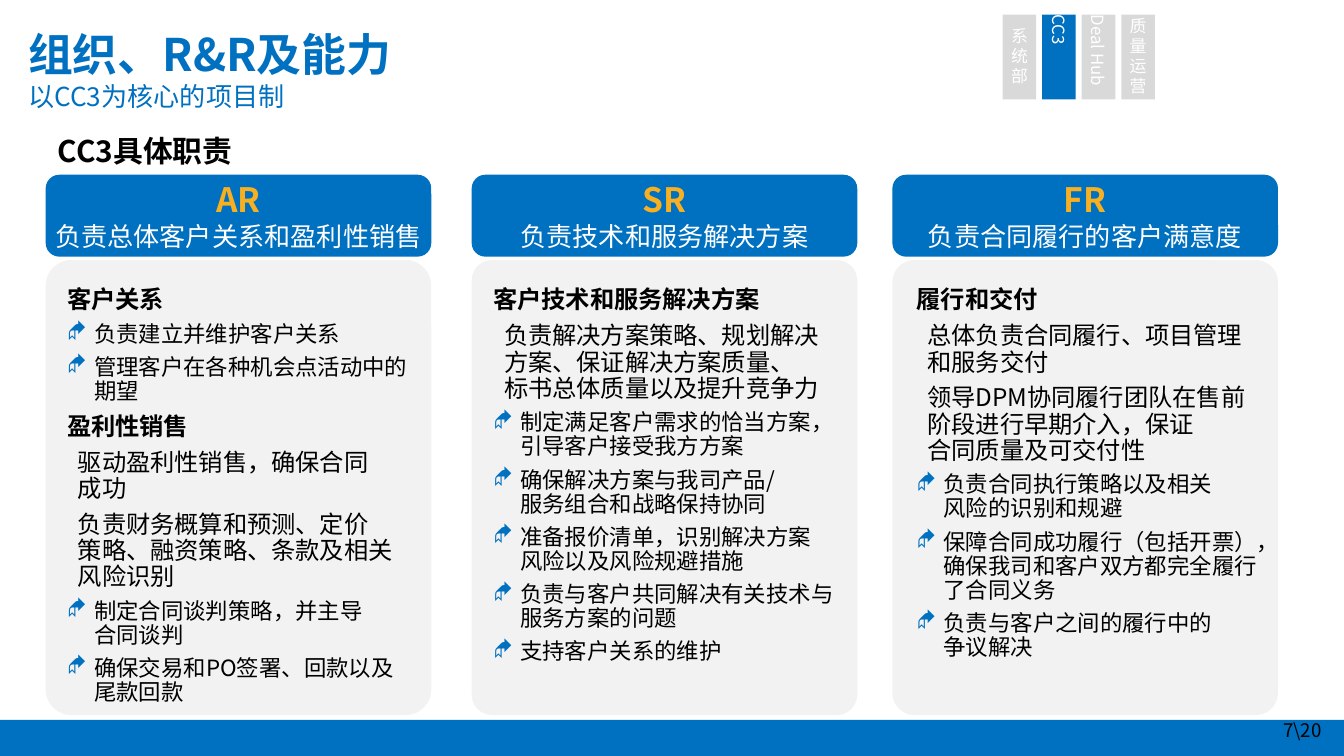
from lxml.etree import SubElement
from pptx import Presentation
from pptx.dml.color import RGBColor
from pptx.enum.shapes import MSO_SHAPE as Shape
from pptx.enum.text import MSO_ANCHOR as Anchor, MSO_AUTO_SIZE as AutoSize, PP_ALIGN as Align
from pptx.oxml.ns import qn
from pptx.util import Pt

BLUE, GOLD, PALE, GREY = "0070C0", "F7B021", "F2F2F2", "D9D9D9"
BLACK, WHITE = "000000", "FFFFFF"
FONT = "Noto Sans CJK SC"
LINE_RATIO = 1.2


def color(value):
    return RGBColor.from_string(value)


class SlideBuilder:
    """Holds the style and the current slide."""

    # Paragraph kind: size, bold, left margin, hanging indent
    kinds = {"head": (13, True, 5.76, -5.76),
             "plain": (13, False, 5.76, 0),
             "bullet": (12, False, 14.4, -14.4)}

    def __init__(self, slide):
        self.slide = slide

    def box(self, kind, place, fill, radius=None):
        shape = self.slide.shapes.add_shape(kind, *map(Pt, place))
        shape.shadow.inherit = False
        shape.fill.solid()
        shape.fill.fore_color.rgb = color(fill)
        shape.line.fill.background()
        if radius is not None:
            shape.adjustments[0] = radius
        return shape

    def frame(self, shape, insets, anchor=Anchor.TOP):
        frame = shape.text_frame
        frame.word_wrap = True
        frame.auto_size = AutoSize.NONE
        frame.vertical_anchor = anchor
        (frame.margin_left, frame.margin_top,
         frame.margin_right, frame.margin_bottom) = map(Pt, insets)
        return frame

    def paragraph(self, frame, index, text, size, ink, bold=False,
                  align=Align.LEFT, spacing=1.0, before=0, indent=(0, 0), bullet=False):
        paragraph = frame.paragraphs[0] if index == 0 else frame.add_paragraph()
        paragraph.text = text
        properties = paragraph._p.get_or_add_pPr()
        properties.set("marL", str(Pt(indent[0])))
        properties.set("indent", str(Pt(indent[1])))
        if bullet:
            fill = SubElement(properties, qn("a:buClr"))
            SubElement(fill, qn("a:srgbClr"), val=BLUE)
            SubElement(properties, qn("a:buFont"), typeface="Wingdings")
            SubElement(properties, qn("a:buChar"), char="◆")
        else:
            SubElement(properties, qn("a:buNone"))
        paragraph.alignment = align
        paragraph.line_spacing = Pt(round(size * LINE_RATIO * spacing, 2))
        paragraph.space_before = Pt(before if index else 0)
        paragraph.space_after = Pt(0)
        for run in paragraph.runs:
            run.font.size = Pt(size)
            run.font.bold = bold
            run.font.color.rgb = color(ink)
            run.font.name = FONT
            SubElement(run._r.get_or_add_rPr(), qn("a:ea"), typeface=FONT)

    def label(self, place, text, size, ink, insets, anchor=Anchor.TOP, **style):
        shape = self.slide.shapes.add_textbox(*map(Pt, place))
        self.paragraph(self.frame(shape, insets, anchor), 0, text, size, ink, **style)

    def placeholder(self, number, place, insets, anchor=Anchor.TOP):
        """Moves a template placeholder to its place, in front of earlier shapes."""
        shape = next(item for item in self.slide.placeholders
                     if item.placeholder_format.idx == number)
        shape.left, shape.top, shape.width, shape.height = map(Pt, place)
        shape._element.getparent().append(shape._element)
        return self.frame(shape, insets, anchor)

    def duties(self, number, place, items):
        frame = self.placeholder(number, place, (2.88,) * 4)
        for index, (kind, text) in enumerate(items):
            size, bold, margin, hanging = self.kinds[kind]
            self.paragraph(frame, index, text, size, BLACK, bold, spacing=0.9,
                           before=round(size * 0.4, 2), indent=(margin, hanging),
                           bullet=kind == "bullet")

    def tab(self, place, lines, fill, vertical):
        frame = self.frame(self.box(Shape.RECTANGLE, place, fill), (0, 0, 0, 1.44), Anchor.MIDDLE)
        if vertical:
            frame._txBody.bodyPr.set("vert", "eaVert")
        for index, text in enumerate(lines):
            self.paragraph(frame, index, text, 9, WHITE, align=Align.CENTER)


# Each column: role, summary, left, panel radius, list left and width, duties
COLUMNS = [
    ("AR", "负责总体客户关系和盈利性销售", 24.5, 0.067, 33.1, 188.8, [
        ("head", "客户关系"),
        ("bullet", "负责建立并维护客户关系"),
        ("bullet", "管理客户在各种机会点活动中的期望"),
        ("head", "盈利性销售"),
        ("plain", "驱动盈利性销售，确保合同\n成功"),
        ("plain", "负责财务概算和预测、定价\n策略、融资策略、条款及相关\n风险识别"),
        ("bullet", "制定合同谈判策略，并主导\n合同谈判"),
        ("bullet", "确保交易和PO签署、回款以及\n尾款回款")]),
    ("SR", "负责技术和服务解决方案", 252.7, 0.053, 261.4, 188.8, [
        ("head", "客户技术和服务解决方案"),
        ("plain", "负责解决方案策略、规划解决\n方案、保证解决方案质量、\n标书总体质量以及提升竞争力"),
        ("bullet", "制定满足客户需求的恰当方案，引导客户接受我方方案"),
        ("bullet", "确保解决方案与我司产品/\n服务组合和战略保持协同"),
        ("bullet", "准备报价清单，识别解决方案\n风险以及风险规避措施"),
        ("bullet", "负责与客户共同解决有关技术与服务方案的问题"),
        ("bullet", "支持客户关系的维护")]),
    ("FR", "负责合同履行的客户满意度", 478.1, 0.058, 488.2, 198, [
        ("head", "履行和交付"),
        ("plain", "总体负责合同履行、项目管理\n和服务交付"),
        ("plain", "领导DPM协同履行团队在售前\n阶段进行早期介入，保证\n合同质量及可交付性"),
        ("bullet", "负责合同执行策略以及相关\n风险的识别和规避"),
        ("bullet", "保障合同成功履行（包括开票），确保我司和客户双方都完全履行了合同义务"),
        ("bullet", "负责与客户之间的履行中的\n争议解决")]),
]
COLUMN_WIDTH = 206.6

# Tabs: lines, fill, vertical text
TABS = [("系统部", GREY, False), (["CC3"], BLUE, True),
        (["Deal Hub"], GREY, True), ("质量运营", GREY, False)]


def main():
    presentation = Presentation()
    presentation.slide_width, presentation.slide_height = Pt(720), Pt(405)
    slide = presentation.slides.add_slide(presentation.slide_layouts[4])
    builder = SlideBuilder(slide)

    # Footer band
    builder.box(Shape.RECTANGLE, (-2, 385.7, 722, 20.2), BLUE)

    # Role columns
    for number, (role, summary, left, radius, list_left, list_width, items) in enumerate(COLUMNS, 1):
        builder.box(Shape.ROUNDED_RECTANGLE, (left, 93.6, COLUMN_WIDTH, 43.9), BLUE)
        builder.box(Shape.ROUNDED_RECTANGLE, (left, 139.3, COLUMN_WIDTH, 243.8), PALE, radius)
        builder.label((left + 61.5, 95, 83.5, 26), role, 18, GOLD, (6.5, 2.9, 6.5, 2.9),
                      bold=True, align=Align.CENTER, spacing=0.9)
        builder.label((left, 116.6, COLUMN_WIDTH, 19.8), summary, 14, WHITE, (1.4,) * 4,
                      align=Align.CENTER)
        builder.duties(number, (list_left, 151.2, list_width, 230), items)

    # Title and section heading
    title = builder.placeholder(0, (12.2, 12.2, 273.6, 49.7), (2.88,) * 4, Anchor.MIDDLE)
    builder.paragraph(title, 0, "组织、R&R及能力", 24, BLUE, bold=True)
    builder.paragraph(title, 1, "以CC3为核心的项目制", 14, BLUE)
    heading = builder.placeholder(4, (24.5, 68.4, 134.6, 28), (6.5, 2.9, 6.5, 2.9))
    builder.paragraph(heading, 0, "CC3具体职责", 16, BLACK, bold=True)

    # Page number
    builder.label((680.4, 380.2, 51, 21.6), "7\\20", 10, BLACK, (7.2, 3.6, 7.2, 3.6), Anchor.MIDDLE)

    # Navigation tabs
    for index, (lines, fill, vertical) in enumerate(TABS):
        builder.tab((537.1 + index * 21.2, 7.9, 18, 45.4), lines, fill, vertical)

    presentation.save("out.pptx")


if __name__ == "__main__":
    main()
